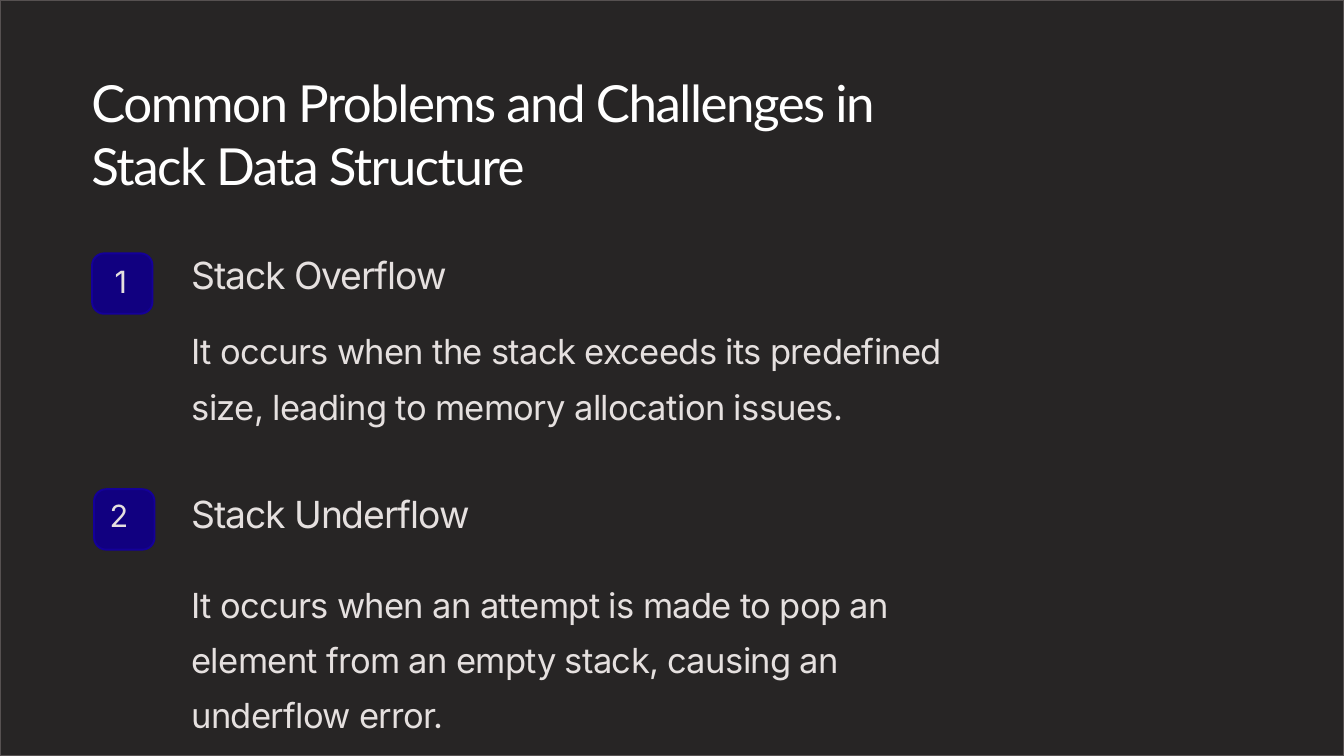
import pptx
import pptx.dml.color
import pptx.enum.shapes
import pptx.enum.text
import pptx.util
from dataclasses import dataclass

Inches = pptx.util.Inches
Pt = pptx.util.Pt
ALIGN = pptx.enum.text.PP_ALIGN


@dataclass(frozen=True)
class TextStyle:
    font: str
    size: float
    color: str
    line_height: float
    tracking: float
    align: ALIGN = ALIGN.LEFT


class Theme:
    BACKGROUND = "0C0C0C"
    PANEL = "272525"
    PANEL_LINE = "565151"
    BADGE = "110080"
    BADGE_LINE = "140099"
    TITLE = TextStyle("Lato", 54.7, "FFFFFF", 68.3, -1.6)
    HEADING = TextStyle("Inter", 40, "E5E0DF", 50, -1.2)
    BODY = TextStyle("Inter", 37, "E5E0DF", 59.2, -0.7)
    NUMBER = TextStyle("Inter", 32.8, "E5E0DF", 41, -1, ALIGN.CENTER)


WIDTH, HEIGHT = 20, 11.25
TEXT_LEFT = 2.85
BADGE_SIZE = 0.9

# Each box is left, top, width, height; a badge has left and top only
PROBLEMS = [
    {
        "badge": (1.37, 3.77),
        "number": ("1", (1.7, 3.89, 0.2, 0.5)),
        "heading": ("Stack Overflow", (TEXT_LEFT, 3.72, 5.11, 0.69)),
        "body": ("It occurs when the stack exceeds its predefined size, "
                 "leading to memory allocation issues.",
                 (TEXT_LEFT, 4.71, 11.53, 1.59)),
    },
    {
        "badge": (1.4, 7.28),
        "number": ("2", (1.63, 7.37, 0.27, 0.5)),
        "heading": ("Stack Underflow", (TEXT_LEFT, 7.28, 6.02, 0.69)),
        "body": ("It occurs when an attempt is made to pop an element from "
                 "an empty stack, causing an underflow error.",
                 (TEXT_LEFT, 8.48, 11.53, 2.4)),
    },
]


def rgb(value):
    return pptx.dml.color.RGBColor.from_string(value)


def add_block(slide, kind, box, fill, line, line_width):
    shape = slide.shapes.add_shape(kind, *map(Inches, box))
    shape.shadow.inherit = False
    shape.fill.solid()
    shape.fill.fore_color.rgb = rgb(fill)
    shape.line.color.rgb = rgb(line)
    shape.line.width = Pt(line_width)
    return shape


def add_text(slide, text, box, style):
    frame = slide.shapes.add_textbox(*map(Inches, box)).text_frame
    frame_format = {"word_wrap": True, "margin_left": 0, "margin_top": 0,
                    "margin_right": 0, "margin_bottom": 0}
    for name, value in frame_format.items():
        setattr(frame, name, value)
    paragraph = frame.paragraphs[0]
    paragraph.alignment = style.align
    paragraph.line_spacing = Pt(style.line_height)
    run = paragraph.add_run()
    run.text = text
    for name, value in {"name": style.font, "size": Pt(style.size)}.items():
        setattr(run.font, name, value)
    run.font.color.rgb = rgb(style.color)
    # Letter spacing is stored in hundredths of a point
    run._r.get_or_add_rPr().set("spc", str(round(style.tracking * 100)))


def add_problem(slide, problem):
    badge = add_block(slide, pptx.enum.shapes.MSO_SHAPE.ROUNDED_RECTANGLE,
                      (*problem["badge"], BADGE_SIZE, BADGE_SIZE),
                      Theme.BADGE, Theme.BADGE_LINE, 2)
    badge.adjustments[0] = 0.2
    add_text(slide, *problem["number"], Theme.NUMBER)
    add_text(slide, *problem["heading"], Theme.HEADING)
    add_text(slide, *problem["body"], Theme.BODY)


def main():
    presentation = pptx.Presentation()
    presentation.slide_width = Inches(WIDTH)
    presentation.slide_height = Inches(HEIGHT)
    slide = presentation.slides.add_slide(presentation.slide_layouts[6])

    # Background and framed panel
    slide.background.fill.solid()
    slide.background.fill.fore_color.rgb = rgb(Theme.BACKGROUND)
    add_block(slide, pptx.enum.shapes.MSO_SHAPE.RECTANGLE,
              (0, 0, WIDTH, HEIGHT), Theme.PANEL, Theme.PANEL_LINE, 1.5)

    # Title
    add_text(slide, "Common Problems and Challenges in Stack Data Structure",
             (1.36, 1.02, 12.52, 1.88), Theme.TITLE)

    # Numbered problems
    for problem in PROBLEMS:
        add_problem(slide, problem)

    presentation.save("out.pptx")


if __name__ == "__main__":
    main()
